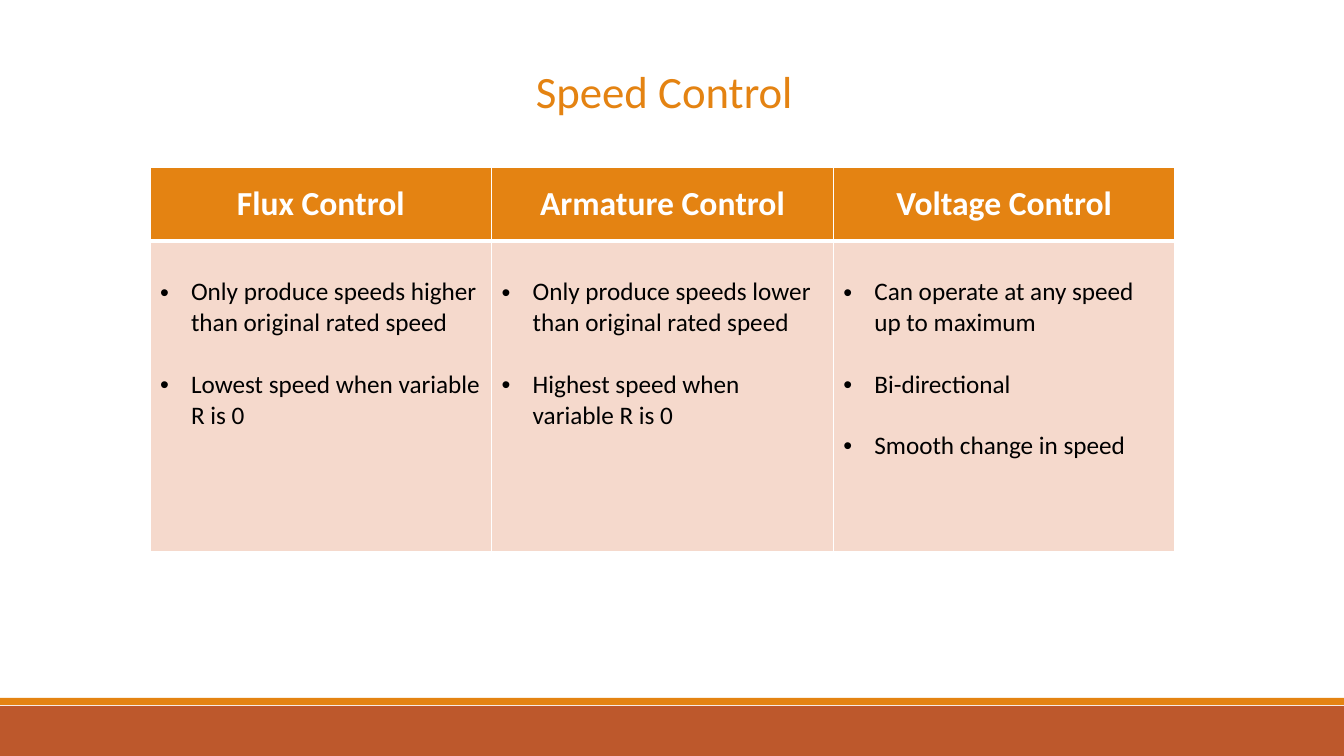
import pptx
import pptx.dml.color
import pptx.enum.shapes
import pptx.enum.text
import pptx.oxml
import pptx.oxml.ns
import pptx.util

ALIGN = pptx.enum.text.PP_ALIGN
ANCHOR = pptx.enum.text.MSO_ANCHOR
ORANGE, RUST, BLUSH, WHITE, BLACK = "E48312", "BD582C", "F5D9CC", "FFFFFF", "000000"
METHODS = {
    "Flux Control": [
        "Only produce speeds higher than original rated speed",
        "Lowest speed when variable R is 0",
    ],
    "Armature Control": [
        "Only produce speeds lower than original rated speed",
        "Highest speed when variable R is 0",
    ],
    "Voltage Control": [
        "Can operate at any speed up to maximum",
        "Bi-directional",
        "Smooth change in speed",
    ],
}


def px(length):
    """Turn whole pixels into EMU."""
    return pptx.util.Emu(round(length * 12192000 / 1344))


def color(value):
    """Turn a hex string into a colour."""
    return pptx.dml.color.RGBColor.from_string(value)


def paint(target, value):
    """Give a shape or cell a solid fill."""
    target.fill.solid()
    target.fill.fore_color.rgb = color(value)


def xml(markup):
    """Build a DrawingML element."""
    tag, rest = markup.split(" ", 1)
    return pptx.oxml.parse_xml(f"<{tag} {pptx.oxml.ns.nsdecls('a')} {rest}")


def write(frame, lines, size, ink, bold=False, align=ALIGN.LEFT, bullets=False, gap=0):
    """Write lines of text as formatted paragraphs."""
    frame.word_wrap = True
    for index, line in enumerate(lines):
        paragraph = frame.paragraphs[0] if index == 0 else frame.add_paragraph()
        paragraph.alignment = align
        paragraph.space_after = pptx.util.Pt(gap)
        run = paragraph.add_run()
        run.text = line
        run.font.name = "Calibri"
        run.font.size = pptx.util.Pt(size)
        run.font.bold = bold
        run.font.color.rgb = color(ink)
        if bullets:
            properties = paragraph._p.get_or_add_pPr()
            properties.set("marL", str(px(31)))
            properties.set("indent", str(-px(31)))
            properties.append(xml('a:buFont typeface="Arial"/>'))
            properties.append(xml('a:buChar char="•"/>'))


def add_bar(slide, top, height, fill):
    """Add a full-width bar."""
    bar = slide.shapes.add_shape(
        pptx.enum.shapes.MSO_SHAPE.RECTANGLE, 0, px(top), px(1344), px(height))
    bar.shadow.inherit = False
    bar.line.fill.background()
    paint(bar, fill)


def add_title(slide, text):
    """Add the slide title."""
    title = slide.shapes.add_textbox(px(526), px(59), px(452), px(65))
    write(title.text_frame, [text], 32, ORANGE)


def style_cell(cell, fill, top, bottom):
    """Set the white borders and the fill of a cell."""
    properties = cell._tc.get_or_add_tcPr()
    for side, points in zip("LRTB", (1, 1, top, bottom)):
        properties.append(xml(
            f'a:ln{side} w="{pptx.util.Pt(points)}"><a:solidFill>'
            f'<a:srgbClr val="{WHITE}"/></a:solidFill></a:ln{side}>'))
    paint(cell, fill)


def add_methods(slide):
    """Add the table of control methods."""
    table = slide.shapes.add_table(
        2, len(METHODS), px(150), px(167), px(1025), px(385)).table
    table.horz_banding = False
    table.rows[0].height, table.rows[1].height = px(74), px(311)
    for column, (method, points) in enumerate(METHODS.items()):
        header, body = table.cell(0, column), table.cell(1, column)
        style_cell(header, ORANGE, 1, 3)
        header.vertical_anchor = ANCHOR.MIDDLE
        write(header.text_frame, [method], 24, WHITE, bold=True, align=ALIGN.CENTER)
        style_cell(body, BLUSH, 3, 1)
        body.margin_top = px(36)
        write(body.text_frame, points, 18, BLACK, bullets=True, gap=22)


def main():
    """Build and save the slide."""
    deck = pptx.Presentation()
    deck.slide_width, deck.slide_height = px(1344), px(756)
    slide = deck.slides.add_slide(deck.slide_layouts[6])
    add_bar(slide, 706, 50, RUST)
    add_bar(slide, 698, 7, ORANGE)
    add_methods(slide)
    add_title(slide, "Speed Control")
    deck.save("out.pptx")


if __name__ == "__main__":
    main()
